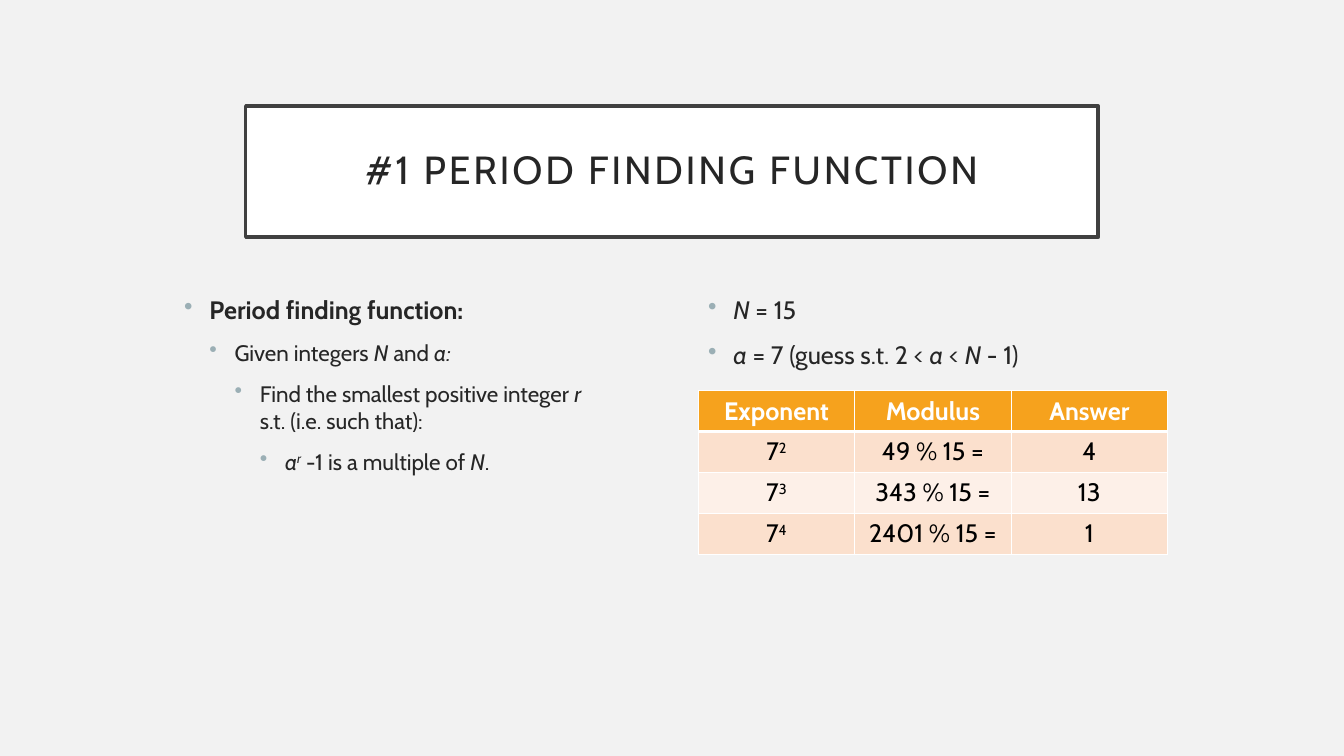
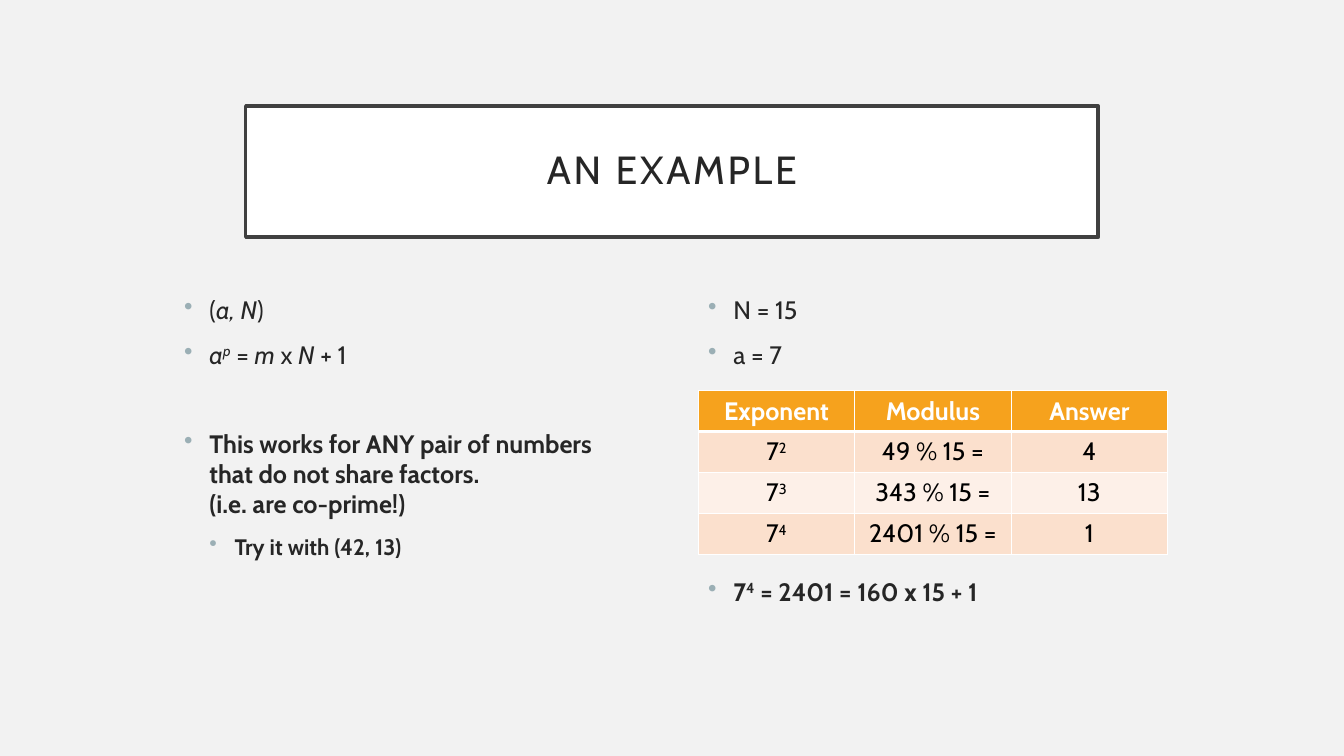
from dataclasses import dataclass
from typing import Any, NamedTuple

import lxml.etree
import pptx
import pptx.dml.color
import pptx.enum.shapes
import pptx.enum.text
import pptx.oxml.ns
import pptx.util

EMU_PER_PX = 9525
qn = pptx.oxml.ns.qn


@dataclass(frozen=True)
class Theme:
    font: str = "Cabin"
    background: str = "F2F2F2"
    white: str = "FFFFFF"
    frame: str = "404040"
    ink: str = "262626"
    table_ink: str = "000000"
    bullet: str = "9BAFB5"
    header: str = "F6A21D"
    bands: tuple[str, str] = ("FBE0CD", "FDF0E8")
    title_size: int = 28
    body_size: int = 18
    detail_size: int = 16
    paragraph_gap: int = 10
    group_gap: int = 42


THEME = Theme()


class Box(NamedTuple):
    left: int
    top: int
    width: int
    height: int


class Span(NamedTuple):
    text: str
    italic: bool = False
    raised: bool = False
    new_line: bool = False


class Bullet(NamedTuple):
    spans: list[Span]
    level: int = 0
    bold: bool = False
    gap: int = THEME.paragraph_gap


class Lesson(NamedTuple):
    title: str
    explanation: list[Bullet]
    values: list[Bullet]
    conclusion: list[Bullet]


SLIDE_WIDTH, SLIDE_HEIGHT = 1280, 720
TITLE = Box(234, 101, 812, 125)
EXPLANATION = Box(166, 276, 448, 325)
VALUES = Box(665, 276, 448, 83)
TABLE = Box(665, 372, 447, 156)
CONCLUSION = Box(665, 544, 448, 83)
INDENT = 24
TITLE_INSET = 19

HEADINGS = ["Exponent", "Modulus", "Answer"]
POWERS = [("2", "49 % 15 =", "4"), ("3", "343 % 15 =", "13"), ("4", "2401 % 15 =", "1")]
TABLE_ROWS = [[[Span(heading)] for heading in HEADINGS]] + [
    [[Span("7"), Span(exponent, raised=True)], [Span(modulus)], [Span(answer)]]
    for exponent, modulus, answer in POWERS
]

LESSONS = [
    Lesson(
        "#1 PERIOD FINDING FUNCTION",
        [
            Bullet([Span("Period finding function:")], bold=True),
            Bullet([Span("Given integers "), Span("N", True), Span(" and "), Span("a:", True)], 1),
            Bullet([
                Span("Find the smallest positive integer "),
                Span("r", True),
                Span("s.t. (i.e. such that):", new_line=True),
            ], 2),
            Bullet([
                Span("a", True),
                Span("r", True, True),
                Span(" -1 is a multiple of "),
                Span("N", True),
                Span("."),
            ], 3),
        ],
        [
            Bullet([Span("N", True), Span(" = 15")]),
            Bullet([
                Span("a", True),
                Span(" = 7 (guess s.t. 2 < "),
                Span("a", True),
                Span(" < "),
                Span("N", True),
                Span(" - 1)"),
            ]),
        ],
        [],
    ),
    Lesson(
        "AN EXAMPLE",
        [
            Bullet([Span("("), Span("a, N", True), Span(")")]),
            Bullet([
                Span("a", True),
                Span("p", True, True),
                Span(" = "),
                Span("m", True),
                Span(" x "),
                Span("N", True),
                Span(" + 1"),
            ]),
            Bullet([
                Span("This works for ANY pair of numbers that do not share factors."),
                Span("(i.e. are co-prime!)", new_line=True),
            ], bold=True, gap=THEME.group_gap),
            Bullet([Span("Try it with (42, 13)")], 1, True),
        ],
        [Bullet([Span("N = 15")]), Bullet([Span("a = 7")])],
        [Bullet([Span("7"), Span("4", raised=True), Span(" = 2401 = 160 x 15 + 1")], bold=True)],
    ),
]


def px(length: int) -> pptx.util.Emu:
    return pptx.util.Emu(length * EMU_PER_PX)


def place(box: Box) -> tuple[pptx.util.Emu, ...]:
    return tuple(px(length) for length in box)


def rgb(color: str) -> pptx.dml.color.RGBColor:
    return pptx.dml.color.RGBColor.from_string(color)


def style_font(font: Any, size: int, color: str, bold: bool = False, italic: bool = False) -> None:
    font.name = THEME.font
    font.size = pptx.util.Pt(size)
    font.color.rgb = rgb(color)
    font.bold = bold
    font.italic = italic


def write_spans(paragraph: Any, spans: list[Span], size: int, color: str, bold: bool) -> None:
    for span in spans:
        if span.new_line:
            paragraph.add_line_break()
        run = paragraph.add_run()
        run.text = span.text
        style_font(run.font, size, color, bold, span.italic)
        if span.raised:
            run._r.get_or_add_rPr().set("baseline", "30000")
    for line_break in paragraph._p.findall(qn("a:br")):
        lxml.etree.SubElement(line_break, qn("a:rPr")).set("sz", str(size * 100))


def add_bullet_mark(paragraph: Any, level: int) -> None:
    properties = paragraph._p.get_or_add_pPr()
    properties.set("marL", str(px(INDENT * (level + 1))))
    properties.set("indent", str(px(-INDENT)))
    bullet_color = lxml.etree.SubElement(properties, qn("a:buClr"))
    lxml.etree.SubElement(bullet_color, qn("a:srgbClr")).set("val", THEME.bullet)
    lxml.etree.SubElement(properties, qn("a:buChar")).set("char", "•")


def add_bullets(slide: Any, box: Box, bullets: list[Bullet]) -> None:
    text_frame = slide.shapes.add_textbox(*place(box)).text_frame
    text_frame.word_wrap = True
    for index, bullet in enumerate(bullets):
        paragraph = text_frame.add_paragraph() if index else text_frame.paragraphs[0]
        add_bullet_mark(paragraph, bullet.level)
        paragraph.level = bullet.level
        if index:
            paragraph.space_before = pptx.util.Pt(bullet.gap)
        size = THEME.detail_size if bullet.level else THEME.body_size
        write_spans(paragraph, bullet.spans, size, THEME.ink, bullet.bold)


def add_title(slide: Any, title: str) -> None:
    shape = slide.shapes.add_shape(pptx.enum.shapes.MSO_SHAPE.RECTANGLE, *place(TITLE))
    shape.shadow.inherit = False
    shape.fill.solid()
    shape.fill.fore_color.rgb = rgb(THEME.white)
    shape.line.color.rgb = rgb(THEME.frame)
    shape.line.width = pptx.util.Pt(2.5)
    text_frame = shape.text_frame
    text_frame.word_wrap = True
    text_frame.vertical_anchor = pptx.enum.text.MSO_ANCHOR.MIDDLE
    text_frame.margin_left = text_frame.margin_right = px(TITLE_INSET)
    text_frame.margin_top = text_frame.margin_bottom = px(TITLE_INSET)
    text_frame.text = title
    paragraph = text_frame.paragraphs[0]
    paragraph.alignment = pptx.enum.text.PP_ALIGN.CENTER
    paragraph.line_spacing = 0.9
    run = paragraph.runs[0]
    style_font(run.font, THEME.title_size, THEME.ink)
    run._r.get_or_add_rPr().set("spc", "200")


def add_cell_borders(cell: Any, row_index: int) -> None:
    widths = {
        "a:lnL": 1,
        "a:lnR": 1,
        "a:lnT": 3 if row_index == 1 else 1,
        "a:lnB": 3 if row_index == 0 else 1,
    }
    properties = cell._tc.get_or_add_tcPr()
    for side, width in widths.items():
        border = lxml.etree.SubElement(properties, qn(side))
        border.set("w", str(pptx.util.Pt(width)))
        fill = lxml.etree.SubElement(border, qn("a:solidFill"))
        lxml.etree.SubElement(fill, qn("a:srgbClr")).set("val", THEME.white)


def add_power_table(slide: Any) -> None:
    row_count, column_count = len(TABLE_ROWS), len(HEADINGS)
    table = slide.shapes.add_table(row_count, column_count, *place(TABLE)).table
    table.horz_banding = False
    for column in table.columns:
        column.width = px(TABLE.width // column_count)
    for row_index, row in enumerate(TABLE_ROWS):
        table.rows[row_index].height = px(TABLE.height // row_count)
        is_header = row_index == 0
        fill = THEME.header if is_header else THEME.bands[(row_index - 1) % 2]
        ink = THEME.white if is_header else THEME.table_ink
        for column_index, spans in enumerate(row):
            cell = table.cell(row_index, column_index)
            add_cell_borders(cell, row_index)
            cell.fill.solid()
            cell.fill.fore_color.rgb = rgb(fill)
            paragraph = cell.text_frame.paragraphs[0]
            paragraph.alignment = pptx.enum.text.PP_ALIGN.CENTER
            write_spans(paragraph, spans, THEME.body_size, ink, is_header)


def add_lesson(presentation: Any, lesson: Lesson) -> None:
    slide = presentation.slides.add_slide(presentation.slide_layouts[6])
    slide.background.fill.solid()
    slide.background.fill.fore_color.rgb = rgb(THEME.background)
    add_title(slide, lesson.title)
    add_bullets(slide, EXPLANATION, lesson.explanation)
    add_bullets(slide, VALUES, lesson.values)
    add_power_table(slide)
    if lesson.conclusion:
        add_bullets(slide, CONCLUSION, lesson.conclusion)


def main() -> None:
    presentation = pptx.Presentation()
    presentation.slide_width = px(SLIDE_WIDTH)
    presentation.slide_height = px(SLIDE_HEIGHT)
    for lesson in LESSONS:
        add_lesson(presentation, lesson)
    presentation.save("out.pptx")


if __name__ == "__main__":
    main()
